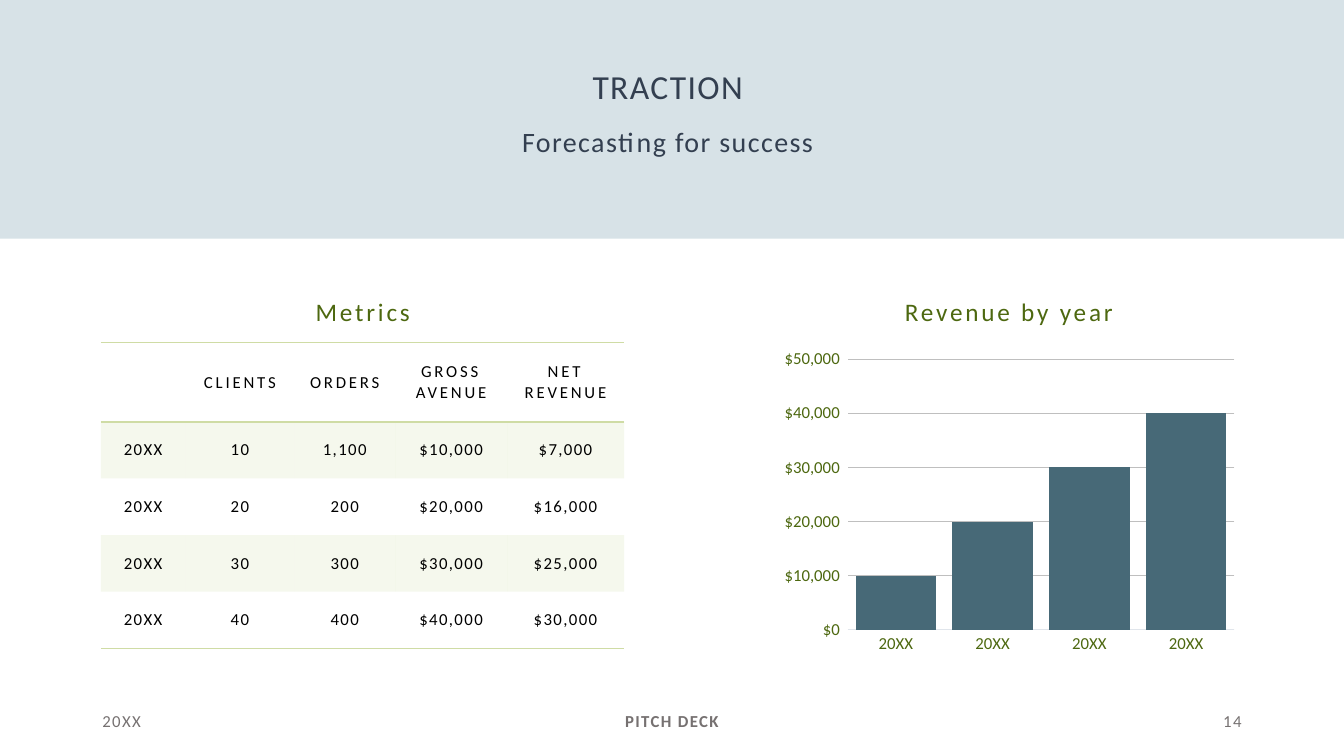
from lxml.etree import SubElement
from pptx import Presentation
from pptx.chart.data import CategoryChartData
from pptx.dml.color import RGBColor
from pptx.enum.chart import XL_CHART_TYPE as ChartType, XL_TICK_MARK as TickMark
from pptx.enum.shapes import MSO_SHAPE as Shape
from pptx.enum.text import MSO_ANCHOR as Anchor, PP_ALIGN as Align
from pptx.oxml import parse_xml
from pptx.oxml.ns import nsdecls, qn
from pptx.util import Pt

FONT = "Calibri"
BAND = RGBColor(0xD7, 0xE2, 0xE7)
NAVY = RGBColor(0x33, 0x3F, 0x50)
OLIVE = RGBColor(0x4D, 0x68, 0x10)
LIME = RGBColor(0xCF, 0xDC, 0xA5)
BLACK = RGBColor(0x00, 0x00, 0x00)
GRAY = RGBColor(0x76, 0x71, 0x71)
TEAL = RGBColor(0x47, 0x69, 0x77)
GRID = RGBColor(0xBF, 0xBF, 0xBF)
AXIS = RGBColor(0xE0, 0xE5, 0xEB)

HEADINGS = ["", "CLIENTS", "ORDERS", "GROSS AVENUE", "NET REVENUE"]
METRICS = [
    ["20XX", "10", "1,100", "$10,000", "$7,000"],
    ["20XX", "20", "200", "$20,000", "$16,000"],
    ["20XX", "30", "300", "$30,000", "$25,000"],
    ["20XX", "40", "400", "$40,000", "$30,000"],
]
COLUMN_WIDTHS = [60.5, 77.8, 72, 79.9, 83.6]
HEADER_HEIGHT, ROW_HEIGHT = 56.6, 40.4
REVENUE = [10000, 20000, 30000, 40000]


def style_font(font, size, color, bold=False):
    """Set the face, size, colour and weight of a font."""
    font.name, font.size, font.bold = FONT, Pt(size), bold
    font.color.rgb = color


def write_text(frame, text, size=12, color=BLACK, bold=False, spacing=1,
               align=Align.CENTER, line_spacing=1.0):
    """Write one formatted paragraph into a text frame."""
    para = frame.paragraphs[0]
    para.alignment = align
    para.line_spacing = line_spacing
    span = para.add_run()
    span.text = text
    style_font(span.font, size, color, bold)
    span._r.get_or_add_rPr().set("spc", str(spacing * 100))


def add_text(page, text, left, top, width, height, anchor=Anchor.MIDDLE, **text_format):
    """Add a wrapping text box."""
    box = page.shapes.add_textbox(Pt(left), Pt(top), Pt(width), Pt(height))
    box.text_frame.word_wrap = True
    box.text_frame.vertical_anchor = anchor
    write_text(box.text_frame, text, **text_format)


def add_band(page, width, height):
    """Add the coloured band across the top."""
    band = page.shapes.add_shape(Shape.RECTANGLE, 0, 0, width, Pt(height))
    band.shadow.inherit = False
    band.fill.solid()
    band.fill.fore_color.rgb = BAND
    band.line.fill.background()


def set_borders(cell, top, bottom):
    """Rule the chosen horizontal sides of a cell and clear the others."""
    sides = [("L", False), ("R", False), ("T", top), ("B", bottom)]
    for position, (side, ruled) in enumerate(sides):
        paint = (f'<a:solidFill><a:srgbClr val="{LIME}"/></a:solidFill>'
                 if ruled else "<a:noFill/>")
        border = parse_xml(f'<a:ln{side} {nsdecls("a")} w="{Pt(1)}">{paint}</a:ln{side}>')
        cell._tc.get_or_add_tcPr().insert(position, border)


def set_fill(cell, shaded):
    """Give a cell the pale band tint or no fill."""
    if not shaded:
        cell.fill.background()
        return
    cell.fill.solid()
    cell.fill.fore_color.rgb = LIME
    for tint in cell._tc.get_or_add_tcPr().iter(qn("a:srgbClr")):
        SubElement(tint, qn("a:alpha")).set("val", "20000")


def add_metrics_table(page, left, top):
    """Add the metrics table with its banded rows."""
    rows = [HEADINGS] + METRICS
    heights = [HEADER_HEIGHT] + [ROW_HEIGHT] * len(METRICS)
    table = page.shapes.add_table(
        len(rows), len(HEADINGS), Pt(left), Pt(top),
        Pt(sum(COLUMN_WIDTHS)), Pt(sum(heights))).table
    table.first_row = table.horz_banding = False
    for column, width in zip(table.columns, COLUMN_WIDTHS):
        column.width = Pt(width)
    for index, values in enumerate(rows):
        table.rows[index].height = Pt(heights[index])
        for cell, text in zip(table.rows[index].cells, values):
            cell.vertical_anchor = Anchor.MIDDLE
            set_fill(cell, index % 2 == 1)
            set_borders(cell, index in (0, 1), index in (0, len(METRICS)))
            if text:
                write_text(cell.text_frame, text, spacing=1 if index else 2)


def style_axis(axis):
    """Remove tick marks and format the labels of an axis."""
    axis.major_tick_mark = axis.minor_tick_mark = TickMark.NONE
    style_font(axis.tick_labels.font, 12, OLIVE)


def add_revenue_chart(page, left, top, width, height):
    """Add the column chart of revenue by year."""
    data = CategoryChartData()
    data.categories = ["20XX"] * len(REVENUE)
    data.add_series("Series 1", REVENUE)
    chart = page.shapes.add_chart(
        ChartType.COLUMN_CLUSTERED, Pt(left), Pt(top), Pt(width), Pt(height), data).chart
    chart.has_title = chart.has_legend = False
    style_font(chart.font, 10, BLACK)

    plot = chart.plots[0]
    plot.vary_by_categories = False
    plot.gap_width, plot.overlap = 20, -24
    columns = plot.series[0].format.fill
    columns.solid()
    columns.fore_color.rgb = TEAL

    years, dollars = chart.category_axis, chart.value_axis
    style_axis(years)
    style_axis(dollars)
    dollars.minimum_scale, dollars.maximum_scale, dollars.major_unit = 0, 50000, 10000
    dollars.tick_labels.number_format = '"$"#,##0_);[Red]\\("$"#,##0\\)'
    dollars.tick_labels.number_format_is_linked = False
    dollars.format.line.fill.background()
    dollars.has_major_gridlines = True
    for line, color in ((years.format.line, AXIS),
                        (dollars.major_gridlines.format.line, GRID)):
        line.color.rgb = color
        line.width = Pt(0.75)


def main():
    """Build the traction slide."""
    deck = Presentation()
    deck.slide_width, deck.slide_height = Pt(960), Pt(540)
    page = deck.slides.add_slide(deck.slide_layouts[6])

    add_band(page, deck.slide_width, 170.5)
    add_text(page, "TRACTION", 66, 0, 822, 80, anchor=Anchor.BOTTOM,
             size=24, color=NAVY, line_spacing=0.9)
    add_text(page, "Forecasting for success", 66, 80, 822, 44.6,
             size=20, color=NAVY, line_spacing=0.9)
    for text, left, width in (("Metrics", 72, 374.4), ("Revenue by year", 553.7, 334)):
        add_text(page, text, left, 201.6, width, 35.3, anchor=Anchor.BOTTOM,
                 size=18, color=OLIVE, spacing=2, line_spacing=0.9)
    add_metrics_table(page, 72, 244.8)
    add_revenue_chart(page, 553.7, 244.8, 334.8, 226.8)
    for text, left, width, align, bold in (
            ("20XX", 66, 216, Align.LEFT, False),
            ("PITCH DECK", 318, 324, Align.CENTER, True),
            ("14", 678, 216, Align.RIGHT, False)):
        add_text(page, text, left, 500.4, width, 28.8, color=GRAY, align=align, bold=bold)

    deck.save("out.pptx")


if __name__ == "__main__":
    main()
